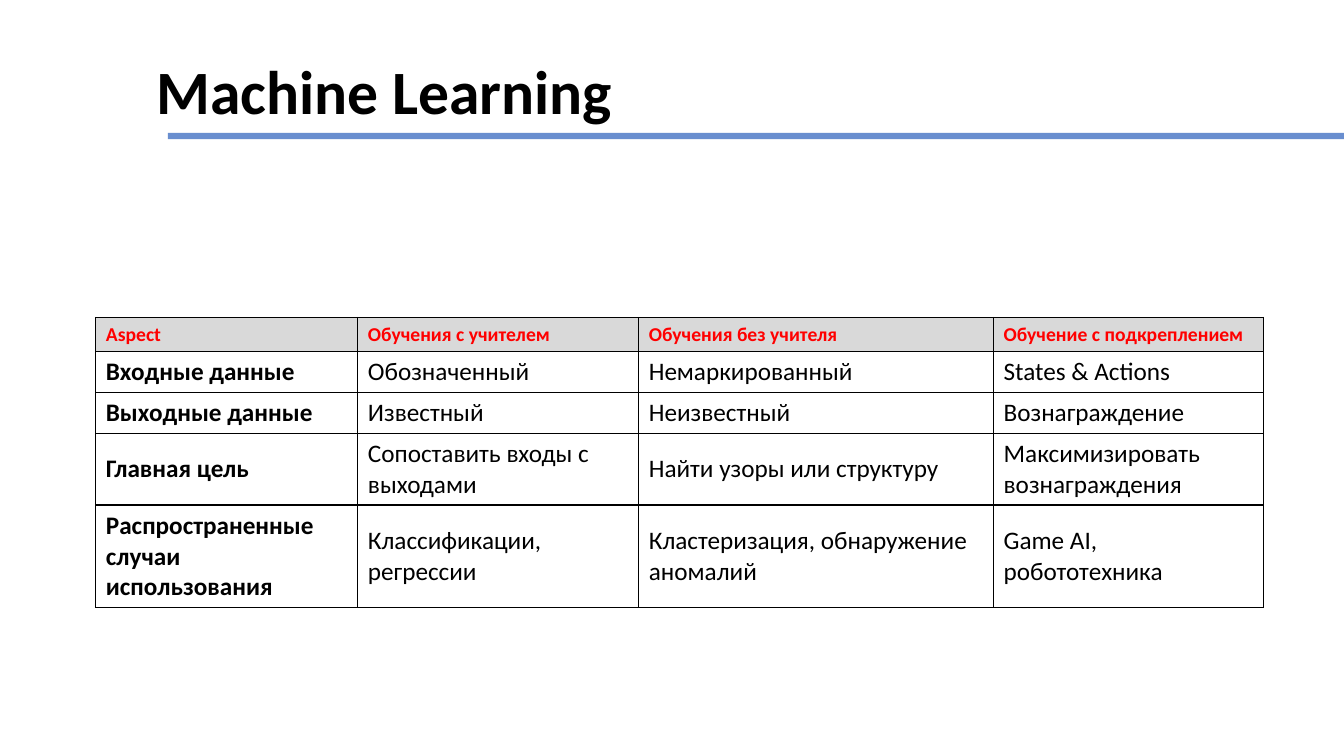
from dataclasses import dataclass

from lxml.etree import SubElement
from pptx import Presentation
from pptx.dml.color import RGBColor
from pptx.enum.shapes import MSO_CONNECTOR
from pptx.enum.text import MSO_ANCHOR, PP_ALIGN
from pptx.oxml.ns import qn
from pptx.util import Inches, Pt


@dataclass(frozen=True)
class Theme:
    font: str = "Calibri"
    text: str = "000000"
    heading: str = "FF0000"
    heading_fill: str = "D9D9D9"
    accent: str = "4472C4"
    title_size: int = 44
    heading_size: int = 14
    body_size: int = 18
    rule_width: float = 4.5
    rule_opacity: int = 80
    border_width: int = 1


def write_text(frame, text, *, font, size, color, bold=False,
               align=PP_ALIGN.LEFT, line_spacing=None):
    frame.word_wrap = True
    paragraph = frame.paragraphs[0]
    paragraph.alignment = align
    if line_spacing:
        paragraph.line_spacing = line_spacing
    run = paragraph.add_run()
    run.text = text
    run.font.name = font
    run.font.size = Pt(size)
    run.font.bold = bold
    run.font.color.rgb = RGBColor.from_string(color)


class SlideBuilder:
    def __init__(self, presentation, theme):
        self.theme = theme
        self.width = presentation.slide_width
        self.height = presentation.slide_height
        self.slide = presentation.slides.add_slide(presentation.slide_layouts[6])

    def across(self, percent):
        return round(self.width * percent / 100)

    def down(self, percent):
        return round(self.height * percent / 100)

    def title(self, text, left, top, width, height):
        shape = self.slide.shapes.add_textbox(
            self.across(left), self.down(top), self.across(width), self.down(height))
        shape.text_frame.vertical_anchor = MSO_ANCHOR.MIDDLE
        write_text(shape.text_frame, text, font=self.theme.font,
                   size=self.theme.title_size, color=self.theme.text,
                   bold=True, line_spacing=0.9)

    def rule(self, left, right, top):
        connector = self.slide.shapes.add_connector(
            MSO_CONNECTOR.STRAIGHT, self.across(left), self.down(top),
            self.across(right), self.down(top))
        connector.line.width = Pt(self.theme.rule_width)
        connector.line.color.rgb = RGBColor.from_string(self.theme.accent)
        color = connector.line._ln.find(".//" + qn("a:srgbClr"))
        SubElement(color, qn("a:alpha"), val=str(self.theme.rule_opacity * 1000))
        SubElement(connector._element.spPr, qn("a:effectLst"))

    def table(self, rows, left, top, column_widths, row_heights):
        table = self.slide.shapes.add_table(
            len(rows), len(column_widths), self.across(left), self.down(top),
            self.across(sum(column_widths)), self.down(sum(row_heights))).table
        table.horz_banding = False
        for column, width in zip(table.columns, column_widths):
            column.width = self.across(width)
        for row, height in zip(table.rows, row_heights):
            row.height = self.down(height)
        for row_index, row in enumerate(rows):
            for column_index, text in enumerate(row):
                self.table_cell(table.cell(row_index, column_index), text,
                                heading=row_index == 0, label=column_index == 0)

    def table_cell(self, cell, text, heading, label):
        theme = self.theme
        cell.vertical_anchor = MSO_ANCHOR.MIDDLE
        self.cell_borders(cell)
        if heading:
            cell.fill.solid()
            cell.fill.fore_color.rgb = RGBColor.from_string(theme.heading_fill)
        else:
            cell.fill.background()
        write_text(cell.text_frame, text, font=theme.font,
                   size=theme.heading_size if heading else theme.body_size,
                   color=theme.heading if heading else theme.text,
                   bold=heading or label)

    def cell_borders(self, cell):
        properties = cell._tc.get_or_add_tcPr()
        for side in ("lnL", "lnR", "lnT", "lnB"):
            line = SubElement(properties, qn(f"a:{side}"),
                              w=str(Pt(self.theme.border_width)))
            fill = SubElement(line, qn("a:solidFill"))
            SubElement(fill, qn("a:srgbClr"), val=self.theme.text)


COMPARISON = [
    ["Aspect", "Обучения с учителем", "Обучения без учителя", "Обучение с подкреплением"],
    ["Входные данные", "Обозначенный", "Немаркированный", "States & Actions"],
    ["Выходные данные", "Известный", "Неизвестный", "Вознаграждение"],
    ["Главная цель", "Сопоставить входы с выходами", "Найти узоры или структуру",
     "Максимизировать вознаграждения"],
    ["Распространенные случаи использования", "Классификации, регрессии",
     "Кластеризация, обнаружение аномалий", "Game AI, робототехника"],
]


def main():
    presentation = Presentation()
    presentation.slide_width = Inches(13.33)
    presentation.slide_height = Inches(7.5)
    builder = SlideBuilder(presentation, Theme())
    builder.table(COMPARISON, left=7.13, top=42,
                  column_widths=[19.5, 20.9, 26.4, 20.1],
                  row_heights=[4.5, 5.4, 5.4, 9.5, 13.6])
    builder.rule(left=12.5, right=100, top=18)
    builder.title("Machine Learning", left=10.9, top=2.9, width=64.7, height=19.3)
    presentation.save("out.pptx")


if __name__ == "__main__":
    main()
